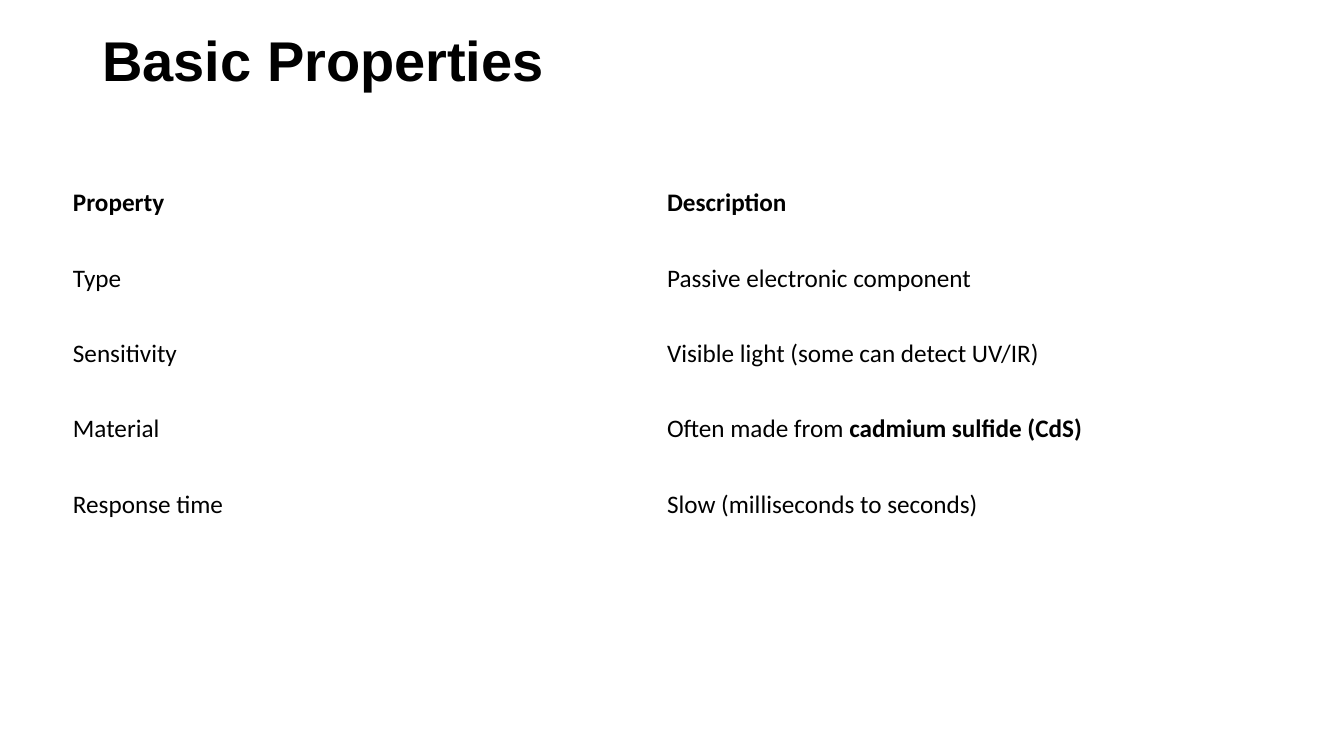
from pptx import Presentation
from pptx.dml.color import RGBColor
from pptx.enum.text import MSO_ANCHOR
from pptx.util import Pt

BLACK = RGBColor(0, 0, 0)

TITLE = "Basic Properties"
HEADER = ("Property", "Description")
PROPERTIES = [
    ("Type", "Passive electronic component", ""),
    ("Sensitivity", "Visible light (some can detect UV/IR)", ""),
    ("Material", "Often made from ", "cadmium sulfide (CdS)"),
    ("Response time", "Slow (milliseconds to seconds)", ""),
]

TABLE_LEFT, TABLE_TOP = 44.9, 118.1
COLUMN_WIDTH, ROW_HEIGHT = 424.4, 53.85


def add_text(para, text, font="Calibri", size=18, bold=False):
    span = para.add_run()
    span.text = text
    span.font.name = font
    span.font.size = Pt(size)
    span.font.bold = bold
    span.font.color.rgb = BLACK


deck = Presentation()
deck.slide_width, deck.slide_height = Pt(960), Pt(540)
page = deck.slides.add_slide(deck.slide_layouts[6])

title_box = page.shapes.add_textbox(Pt(66), Pt(19.4), Pt(828), Pt(51.1))
title_frame = title_box.text_frame
title_frame.word_wrap = True
title_frame.vertical_anchor = MSO_ANCHOR.MIDDLE
title_para = title_frame.paragraphs[0]
title_para.line_spacing = 0.9
add_text(title_para, TITLE, font="Arial", size=40, bold=True)

row_count, column_count = len(PROPERTIES) + 1, len(HEADER)
table = page.shapes.add_table(
    row_count, column_count, Pt(TABLE_LEFT), Pt(TABLE_TOP),
    Pt(COLUMN_WIDTH * column_count), Pt(ROW_HEIGHT * row_count)).table
table.first_row = table.horz_banding = False
for row in table.rows:
    row.height = Pt(ROW_HEIGHT)
for column in table.columns:
    column.width = Pt(COLUMN_WIDTH)
for cell in table.iter_cells():
    cell.fill.background()
    cell.vertical_anchor = MSO_ANCHOR.MIDDLE

for column, heading in enumerate(HEADER):
    add_text(table.cell(0, column).text_frame.paragraphs[0], heading, bold=True)
for row, (name, description, emphasis) in enumerate(PROPERTIES, start=1):
    add_text(table.cell(row, 0).text_frame.paragraphs[0], name)
    description_para = table.cell(row, 1).text_frame.paragraphs[0]
    add_text(description_para, description)
    if emphasis:
        add_text(description_para, emphasis, bold=True)

deck.save("out.pptx")
